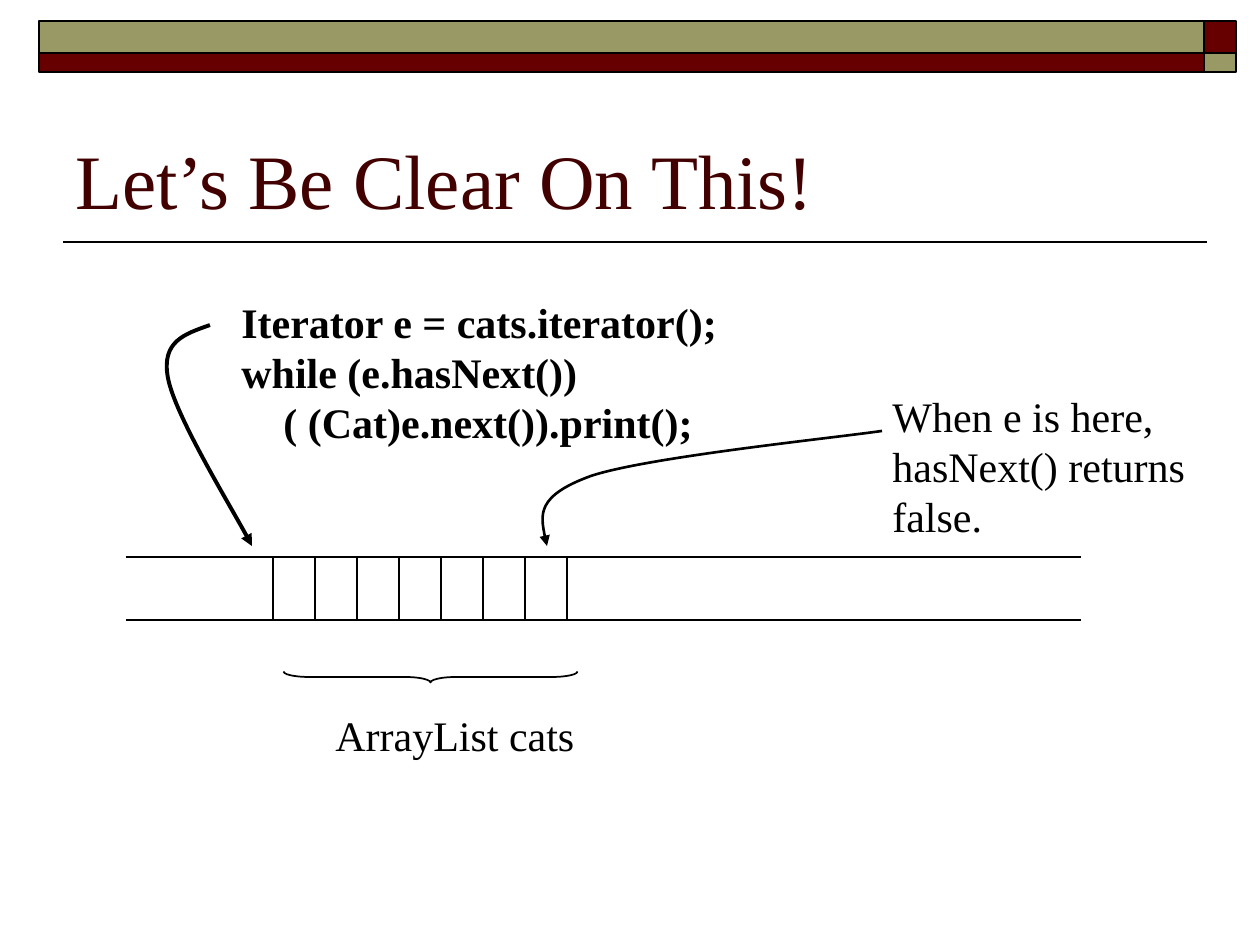
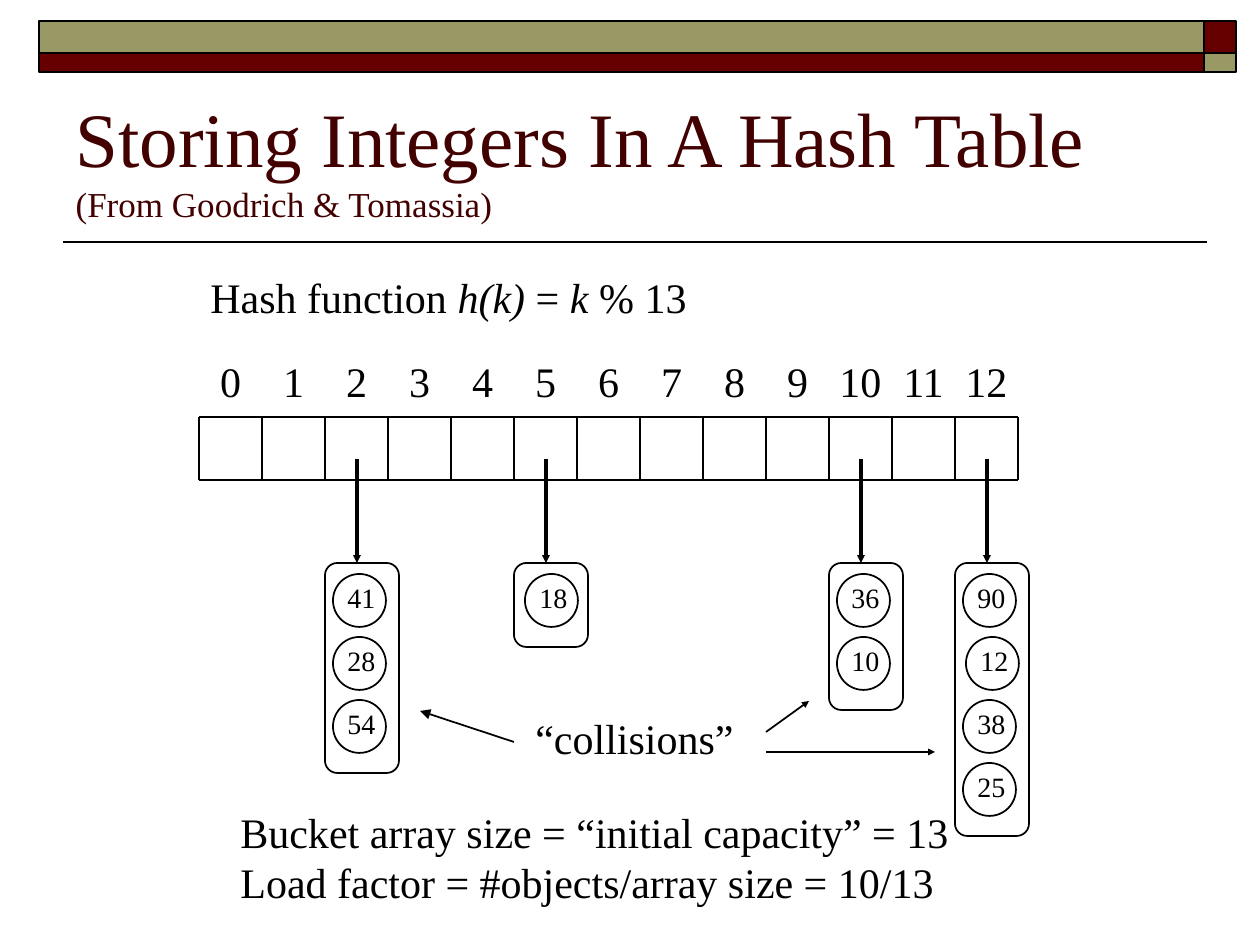
from dataclasses import dataclass
from typing import NamedTuple

import lxml.etree
import pptx
import pptx.dml.color
import pptx.enum.shapes
import pptx.enum.text
import pptx.oxml.ns
import pptx.util

EMU_PER_PX = 914400 / 126
PRESET = pptx.enum.shapes.MSO_SHAPE
ALIGN = pptx.enum.text.PP_ALIGN
qn = pptx.oxml.ns.qn


@dataclass(frozen=True)
class Theme:
    font: str = "Times New Roman"
    ink: str = "000000"
    title_ink: str = "420000"
    maroon: str = "660000"
    olive: str = "999966"
    title_size: int = 44
    subtitle_size: int = 20
    body_size: int = 24
    key_size: int = 16
    thin: float = 1
    medium: float = 1.5
    thick: float = 2.25


THEME = Theme()


class Box(NamedTuple):
    left: int
    top: int
    width: int
    height: int


class Point(NamedTuple):
    x: int
    y: int


class Band(NamedTuple):
    box: Box
    color: str


class Arrow(NamedTuple):
    start: Point
    end: Point
    head: str


class Key(NamedTuple):
    value: int
    inset: int = 8


class Bucket(NamedTuple):
    index: int
    keys: list[Key]


@dataclass(frozen=True)
class CellRow:
    """A row of equal cells between two rails that may run past the cells."""
    left: int
    top: int
    cell_width: int
    cells: int
    rail_left: int
    rail_right: int
    height: int = 63

    def edge(self, index: int) -> int:
        return self.left + index * self.cell_width


BANDS = [
    Band(Box(1204, 21, 32, 32), THEME.maroon),
    Band(Box(39, 21, 1165, 32), THEME.olive),
    Band(Box(39, 53, 1165, 19), THEME.maroon),
    Band(Box(1204, 53, 32, 19), THEME.olive),
]
TITLE_BOX = Box(63, 74, 1134, 157)
TITLE_RULE = (Point(1207, 242), Point(63, 242))

LIST_ROW = CellRow(left=273, top=557, cell_width=42, cells=7, rail_left=126, rail_right=1081)
START_CURVE = [Point(210, 325), Point(185, 334), Point(161, 341), Point(168, 378),
               Point(175, 415), Point(238, 518), Point(252, 546)]
END_CURVE = [Point(882, 431), Point(834, 438), Point(648, 457), Point(591, 476),
             Point(536, 496), Point(541, 521), Point(547, 546)]

TABLE_ROW = CellRow(left=199, top=417, cell_width=63, cells=13, rail_left=199, rail_right=1018)
BUCKETS = [
    Bucket(2, [Key(41), Key(28), Key(54)]),
    Bucket(5, [Key(18, 11)]),
    Bucket(10, [Key(36), Key(10)]),
    Bucket(12, [Key(90), Key(12, 11), Key(38), Key(25)]),
]
BUCKET_TOP, BUCKET_WIDTH, BUCKET_PADDING = 563, 74, 21
KEY_SIZE, KEY_STEP = 53, 63
COLLISION_ARROWS = [
    Arrow(Point(514, 742), Point(420, 711), "med"),
    Arrow(Point(766, 732), Point(809, 701), "sm"),
    Arrow(Point(766, 752), Point(935, 752), "sm"),
]


def px(length: float) -> pptx.util.Emu:
    return pptx.util.Emu(round(length * EMU_PER_PX))


def emu_box(box: Box) -> list[pptx.util.Emu]:
    return [px(length) for length in box]


def rgb(color: str) -> pptx.dml.color.RGBColor:
    return pptx.dml.color.RGBColor.from_string(color)


def style_run(run, size: int, color: str = THEME.ink, bold: bool = False, italic: bool = False) -> None:
    run.font.name = THEME.font
    run.font.size = pptx.util.Pt(size)
    run.font.color.rgb = rgb(color)
    run.font.bold = bold
    run.font.italic = italic


def style_line(shape, width: float, head: str = "") -> None:
    """Give the outline its colour and width, and an arrowhead of size head at its end."""
    shape.line.color.rgb = rgb(THEME.ink)
    shape.line.width = pptx.util.Pt(width)
    if head:
        outline = shape._element.spPr.find(qn("a:ln"))
        lxml.etree.SubElement(outline, qn("a:tailEnd"), type="triangle", w=head, len=head)


def add_line(slide, start: Point, end: Point, width: float = THEME.thin, head: str = "") -> None:
    line = slide.shapes.add_connector(
        pptx.enum.shapes.MSO_CONNECTOR.STRAIGHT, px(start.x), px(start.y), px(end.x), px(end.y))
    style_line(line, width, head)
    lxml.etree.SubElement(line._element.spPr, qn("a:effectLst"))


def add_preset(slide, preset, box: Box, fill: str = ""):
    shape = slide.shapes.add_shape(preset, *emu_box(box))
    shape.shadow.inherit = False
    if fill:
        shape.fill.solid()
        shape.fill.fore_color.rgb = rgb(fill)
    else:
        shape.fill.background()
    style_line(shape, THEME.thin)
    return shape


def add_curve(slide, points: list[Point], width: float) -> None:
    """Draw an arrow of cubic curves: a start, then two controls and an end per curve."""
    builder = slide.shapes.build_freeform(*points[0], scale=EMU_PER_PX)
    builder.add_line_segments(points[1:], close=False)
    shape = builder.convert_to_shape()
    shape.shadow.inherit = False
    shape.fill.background()
    style_line(shape, width, "med")
    segments = list(shape._element.iter(qn("a:lnTo")))
    for first in range(0, len(segments), 3):
        curve = lxml.etree.Element(qn("a:cubicBezTo"))
        segments[first].addprevious(curve)
        for segment in segments[first:first + 3]:
            curve.append(segment[0])
            segment.getparent().remove(segment)


def add_text(slide, box: Box, text: str, bold: bool = False):
    frame = slide.shapes.add_textbox(*emu_box(box)).text_frame
    frame.word_wrap = True
    frame.auto_size = pptx.enum.text.MSO_AUTO_SIZE.NONE
    frame.text = text
    for paragraph in frame.paragraphs:
        for run in paragraph.runs:
            style_run(run, THEME.body_size, bold=bold)
    return frame


def add_cell_row(slide, row: CellRow) -> None:
    bottom = row.top + row.height
    for y in (row.top, bottom):
        add_line(slide, Point(row.rail_left, y), Point(row.rail_right, y))
    for index in range(row.cells + 1):
        x = row.edge(index)
        add_line(slide, Point(x, row.top), Point(x, bottom))


def add_titled_slide(deck, title: str):
    """Add a slide with the shared bands; title text after a line break is set smaller."""
    slide = deck.slides.add_slide(deck.slide_layouts[5])
    add_line(slide, *TITLE_RULE)
    for band in BANDS:
        add_preset(slide, PRESET.RECTANGLE, band.box, band.color)
    heading = slide.shapes.title
    heading.left, heading.top, heading.width, heading.height = emu_box(TITLE_BOX)
    frame = heading.text_frame
    frame.text = title
    frame.auto_size = pptx.enum.text.MSO_AUTO_SIZE.NONE
    frame.vertical_anchor = pptx.enum.text.MSO_ANCHOR.BOTTOM
    frame.paragraphs[0].alignment = ALIGN.LEFT
    for run, size in zip(frame.paragraphs[0].runs, (THEME.title_size, THEME.subtitle_size)):
        style_run(run, size, THEME.title_ink)
    return slide


def add_index_label(slide, index: int) -> None:
    frame = add_text(slide, Box(TABLE_ROW.edge(index), 349, TABLE_ROW.cell_width, 63), str(index))
    frame.margin_left = frame.margin_right = px(0)
    frame.paragraphs[0].alignment = ALIGN.CENTER


def add_key(slide, value: int, left: int, top: int) -> None:
    circle = add_preset(slide, PRESET.OVAL, Box(left, top, KEY_SIZE, KEY_SIZE))
    frame = circle.text_frame
    frame.word_wrap = False
    frame.margin_left, frame.margin_right = px(4), px(0)
    frame.margin_top, frame.margin_bottom = px(0), px(6)
    frame.vertical_anchor = pptx.enum.text.MSO_ANCHOR.MIDDLE
    frame.text = str(value)
    frame.paragraphs[0].alignment = ALIGN.CENTER
    style_run(frame.paragraphs[0].runs[0], THEME.key_size)


def add_bucket(slide, bucket: Bucket) -> None:
    left = TABLE_ROW.edge(bucket.index)
    height = BUCKET_PADDING + KEY_STEP * len(bucket.keys)
    add_preset(slide, PRESET.ROUNDED_RECTANGLE, Box(left, BUCKET_TOP, BUCKET_WIDTH, height))
    for position, key in enumerate(bucket.keys):
        add_key(slide, key.value, left + key.inset, BUCKET_TOP + 11 + position * KEY_STEP)
    center = left + TABLE_ROW.cell_width // 2 + 1
    add_line(slide, Point(center, 459), Point(center, BUCKET_TOP), THEME.thick, "sm")


def build_iterator_slide(deck) -> None:
    slide = add_titled_slide(deck, "Let’s Be Clear On This!")
    add_cell_row(slide, LIST_ROW)
    brace = add_preset(slide, PRESET.LEFT_BRACE, Box(425, 530, 11, 294))
    brace.rotation = 270
    brace.adjustments[0] = 2.33
    add_text(slide, Box(323, 703, 277, 63), "ArrayList cats")
    code = add_text(
        slide, Box(229, 290, 513, 164),
        "Iterator e = cats.iterator();\nwhile (e.hasNext())\n( (Cat)e.next()).print();", bold=True)
    code.paragraphs[2]._p.get_or_add_pPr().set("marL", str(px(42)))
    add_curve(slide, START_CURVE, THEME.thick)
    add_curve(slide, END_CURVE, THEME.medium)
    add_text(slide, Box(880, 384, 332, 164), "When e is here,\nhasNext() returns\nfalse.")


def build_hash_table_slide(deck) -> None:
    slide = add_titled_slide(deck, "Storing Integers In A Hash Table\v(From Goodrich & Tomassia)")
    add_cell_row(slide, TABLE_ROW)
    for index in range(TABLE_ROW.cells):
        add_index_label(slide, index)
    for bucket in BUCKETS:
        add_bucket(slide, bucket)
    formula = add_text(slide, Box(198, 265, 515, 63), "Hash function ").paragraphs[0]
    for term, italic in [("h(k)", True), (" = ", False), ("k", True), (" % 13", False)]:
        run = formula.add_run()
        run.text = term
        style_run(run, THEME.body_size, italic=italic)
    add_text(slide, Box(523, 706, 237, 63), "“collisions”")
    for arrow in COLLISION_ARROWS:
        add_line(slide, arrow.start, arrow.end, head=arrow.head)
    add_text(slide, Box(228, 800, 750, 113),
             "Bucket array size = “initial capacity” = 13\nLoad factor = #objects/array size = 10/13")


def main() -> None:
    deck = pptx.Presentation()
    deck.slide_width, deck.slide_height = px(1260), px(945)
    build_iterator_slide(deck)
    build_hash_table_slide(deck)
    deck.save("out.pptx")


if __name__ == "__main__":
    main()
